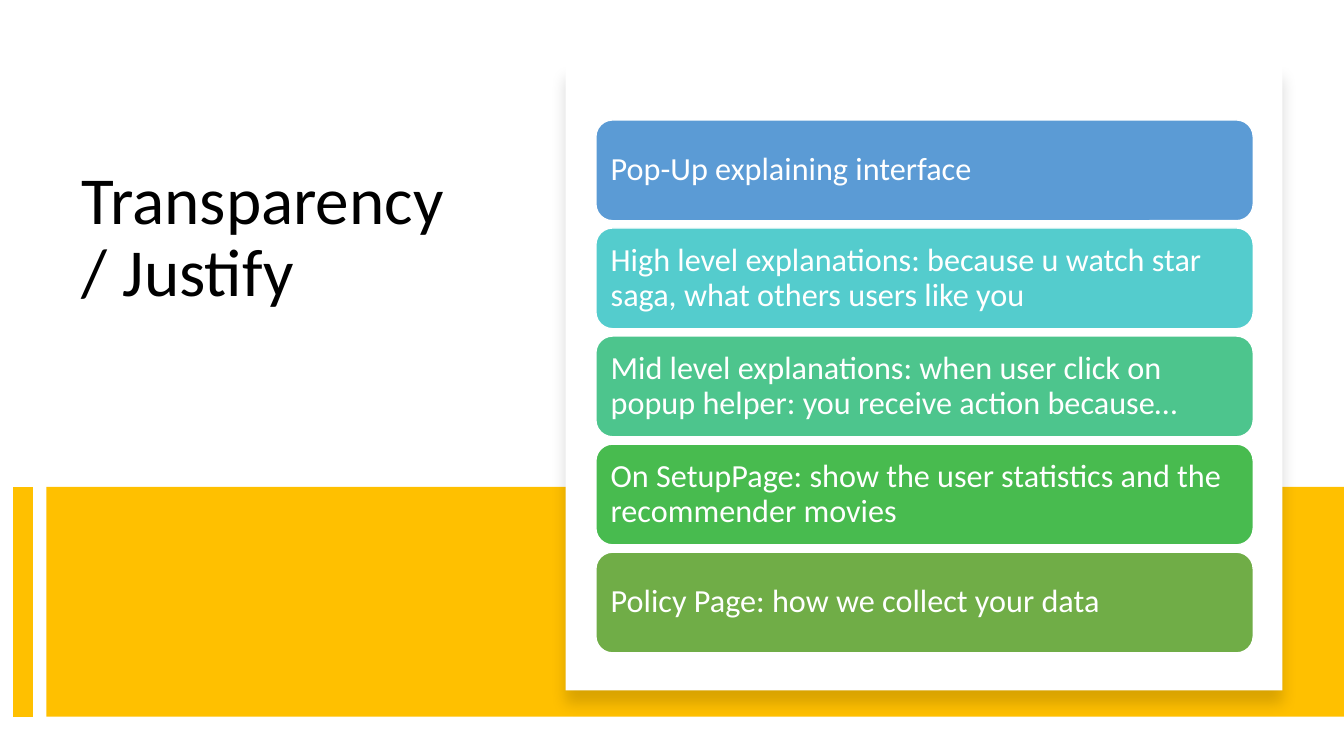
from lxml import etree
from pptx import Presentation
from pptx.dml.color import RGBColor
from pptx.enum.shapes import MSO_CONNECTOR, MSO_SHAPE
from pptx.enum.text import MSO_ANCHOR, MSO_AUTO_SIZE, PP_ALIGN
from pptx.oxml import parse_xml
from pptx.oxml.ns import nsdecls, qn
from pptx.util import Inches, Pt


def rgb(value):
    return RGBColor.from_string(value)


def add_block(kind, left, top, width, height, fill):
    block = slide.shapes.add_shape(
        kind, Inches(left), Inches(top), Inches(width), Inches(height))
    block.shadow.inherit = False
    block.fill.solid()
    block.fill.fore_color.rgb = rgb(fill)
    block.line.fill.background()
    return block


YELLOW, WHITE = "FFC000", "FFFFFF"
POINTS = [
    ("Pop-Up explaining interface", "5B9BD5"),
    ("High level explanations: because u watch star saga, "
     "what others users like you", "54CCCD"),
    ("Mid level explanations: when user click on popup helper: "
     "you receive action because…", "4DC58D"),
    ("On SetupPage: show the user statistics and the recommender movies", "48BB4F"),
    ("Policy Page: how we collect your data", "70AD47"),
]

prs = Presentation()
prs.slide_width, prs.slide_height = Inches(13.33), Inches(7.5)
slide = prs.slides.add_slide(prs.slide_layouts[5])

# Title
title = slide.shapes.title
title.left, title.top = Inches(0.71), Inches(1.6)
title.width, title.height = Inches(4.15), Inches(2.94)
title_frame = title.text_frame
title_frame.text = "Transparency / Justify"
title_frame.word_wrap = True
title_frame.auto_size = MSO_AUTO_SIZE.NONE
title_frame.vertical_anchor = MSO_ANCHOR.TOP
heading = title_frame.paragraphs[0]
heading.alignment = PP_ALIGN.LEFT
heading.line_spacing = 0.9
heading_font = heading.runs[0].font
heading_font.name, heading_font.size = "Calibri", Pt(48)
heading_font.color.rgb = rgb("000000")

# Yellow band with its stripe
add_block(MSO_SHAPE.RECTANGLE, 0.46, 4.83, 12.87, 2.28, YELLOW)
stripe = slide.shapes.add_connector(
    MSO_CONNECTOR.STRAIGHT, Inches(0.23), Inches(4.83), Inches(0.23), Inches(7.11))
stripe.line.color.rgb = rgb(YELLOW)
stripe.line.width = Pt(14)
etree.SubElement(stripe._element.spPr, qn("a:effectLst"))

# White card with a soft shadow below
card = add_block(MSO_SHAPE.RECTANGLE, 5.61, 0.64, 7.11, 6.21, WHITE)
card._element.spPr.find(qn("a:effectLst")).append(parse_xml(
    f'<a:outerShdw {nsdecls("a")} blurRad="{Pt(11)}" dist="{Pt(10)}" dir="5400000" '
    'algn="t" rotWithShape="0"><a:srgbClr val="000000"><a:alpha val="15000"/>'
    '</a:srgbClr></a:outerShdw>'))

# Points stacked on the card
for row, (wording, color) in enumerate(POINTS):
    point = add_block(MSO_SHAPE.ROUNDED_RECTANGLE, 5.91, 1.19 + row * 1.072, 6.52, 1, color)
    point.line.color.rgb = rgb(WHITE)
    point.line.width = Pt(1)
    frame = point.text_frame
    frame.text = wording
    frame.word_wrap = True
    frame.vertical_anchor = MSO_ANCHOR.MIDDLE
    frame.margin_left = frame.margin_right = Inches(0.1)
    frame.margin_top = frame.margin_bottom = Inches(0.05)
    paragraph = frame.paragraphs[0]
    paragraph.alignment = PP_ALIGN.LEFT
    paragraph.line_spacing = 0.9
    font = paragraph.runs[0].font
    font.name, font.size = "Calibri", Pt(23)
    font.color.rgb = rgb(WHITE)

prs.save("out.pptx")
